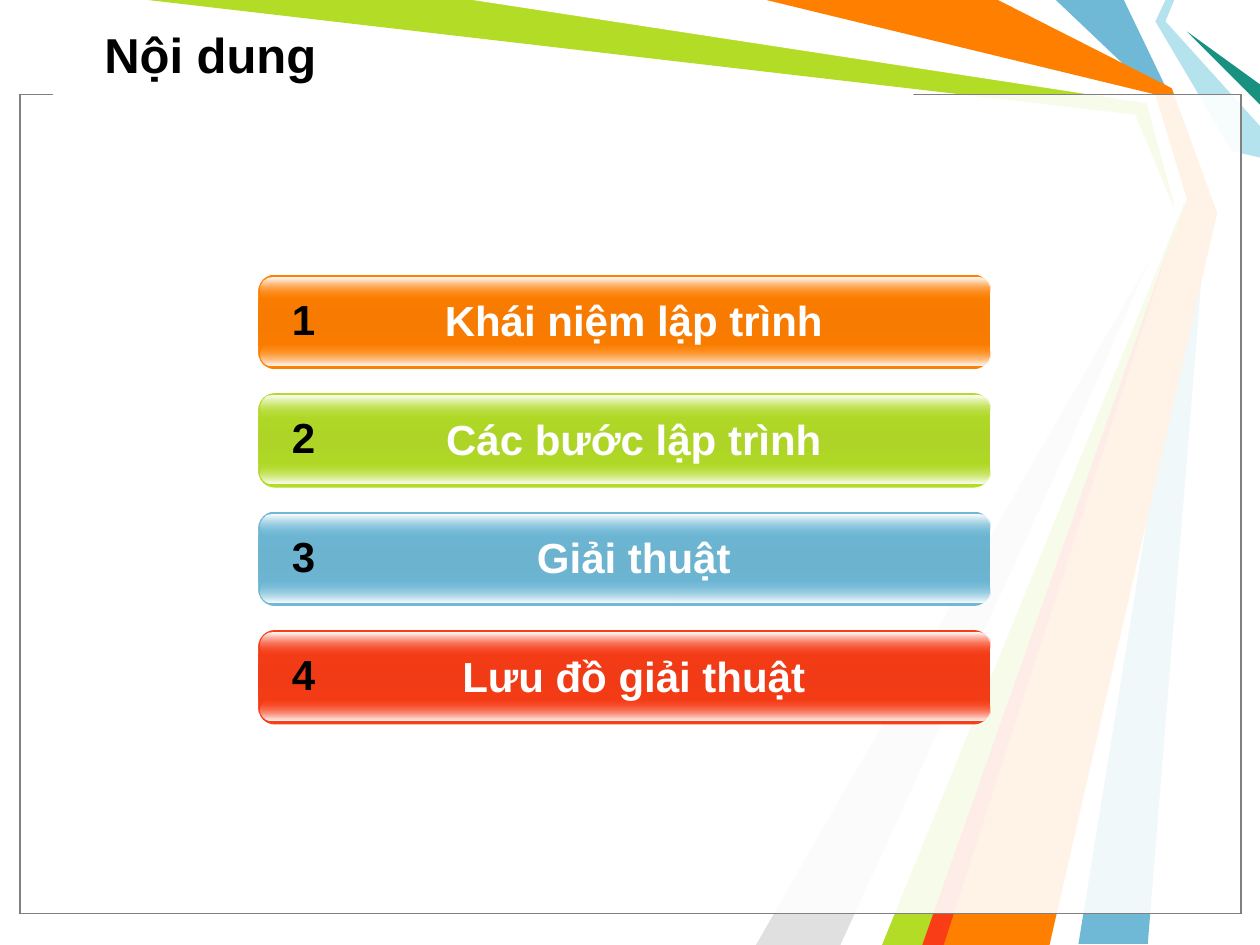
import pptx
import pptx.util
import pptx.dml.color
import pptx.enum.shapes
import pptx.enum.text
import pptx.oxml
import pptx.oxml.ns
from dataclasses import dataclass


@dataclass(frozen=True)
class Theme:
    font: str = "Arial"
    title_size: int = 28
    label_size: int = 24
    black: str = "000000"
    white: str = "FFFFFF"
    frame: str = "808080"
    orange: str = "FF7F00"
    green: str = "B3DC27"
    blue: str = "6FB9D7"
    red: str = "F93D17"
    grey: str = "E0E0E0"
    pale_blue: str = "B4E3EE"
    teal: str = "189180"


theme = Theme()
rgb = pptx.dml.color.RGBColor.from_string
shape_types = pptx.enum.shapes.MSO_SHAPE
alignments = pptx.enum.text.PP_ALIGN
anchors = pptx.enum.text.MSO_ANCHOR

presentation = pptx.Presentation()
presentation.slide_width = pptx.util.Inches(10)
presentation.slide_height = pptx.util.Inches(7.5)
slide = presentation.slides.add_slide(presentation.slide_layouts[6])

# Fine grid: 1000 columns by 750 rows
column = presentation.slide_width // 1000
row = presentation.slide_height // 750


def add_box(kind, left, top, width, height, stops, corner=None, line=None):
    """Add a shape; stops are (percent, colour, opacity), one stop is a solid fill."""
    shape = slide.shapes.add_shape(
        kind, left * column, top * row, width * column, height * row)
    shape.shadow.inherit = False
    if corner is not None:
        shape.adjustments[0] = corner
    if line:
        shape.line.color.rgb = rgb(line)
        shape.line.width = pptx.util.Pt(0.75)
    else:
        shape.line.fill.background()
    colours = [f'<a:srgbClr val="{colour}"><a:alpha val="{opacity * 1000}"/></a:srgbClr>'
               for _, colour, opacity in stops]
    namespace = pptx.oxml.ns.nsdecls("a")
    if len(stops) == 1:
        fill = f"<a:solidFill {namespace}>{colours[0]}</a:solidFill>"
    else:
        marks = "".join(f'<a:gs pos="{stop[0] * 1000}">{colour}</a:gs>'
                        for stop, colour in zip(stops, colours))
        fill = (f'<a:gradFill {namespace} rotWithShape="1"><a:gsLst>{marks}</a:gsLst>'
                '<a:lin ang="5400000" scaled="1"/></a:gradFill>')
    geometry = shape._element.spPr.find(pptx.oxml.ns.qn("a:prstGeom"))
    geometry.addnext(pptx.oxml.parse_xml(fill))


def add_text(text, left, top, width, height, size=theme.label_size,
             colour=theme.black, align=alignments.CENTER, anchor=anchors.TOP):
    box = slide.shapes.add_textbox(
        left * column, top * row, width * column, height * row)
    frame = box.text_frame
    frame.word_wrap = True
    frame.vertical_anchor = anchor
    paragraph = frame.paragraphs[0]
    paragraph.text = text
    paragraph.alignment = align
    font = paragraph.runs[0].font
    font.name = theme.font
    font.size = pptx.util.Pt(size)
    font.bold = True
    font.color.rgb = rgb(colour)


# Background ribbons, back to front
ribbons = [
    (theme.blue, [(892, 0), (929, 77), (958, 167), (911, 749), (856, 749),
                  (950, 167), (917, 75), (838, 0)]),
    (theme.green, [(117, 0), (383, 0), (914, 78), (942, 169), (742, 750),
                   (692, 750), (935, 173), (901, 91)]),
    (theme.grey, [(667, 750), (927, 181), (600, 750)]),
    (theme.white, [(375, 0), (910, 82), (932, 162), (675, 750), (700, 750),
                   (941, 158), (917, 75), (600, 0)]),
    (theme.pale_blue, [(925, 0), (917, 17), (978, 120), (1000, 125),
                       (1000, 100), (925, 17), (932, 0)]),
    (theme.teal, [(1000, 83), (942, 25), (1000, 67)]),
    (theme.orange, [(608, 0), (792, 0), (930, 70), (966, 169), (833, 750),
                    (733, 750), (942, 158), (917, 75)]),
    (theme.red, [(732, 750), (932, 183), (749, 750)]),
]
for colour, points in ribbons:
    builder = slide.shapes.build_freeform(*points[0], scale=(column, row))
    builder.add_line_segments(points[1:], close=True)
    ribbon = builder.convert_to_shape()
    ribbon.shadow.inherit = False
    ribbon.fill.solid()
    ribbon.fill.fore_color.rgb = rgb(colour)
    ribbon.line.fill.background()

# Two translucent content panels, and a gap in the frame below the title
for line in (theme.black, theme.frame):
    add_box(shape_types.RECTANGLE, 16, 75, 969, 650, [(0, theme.white, 69)], line=line)
add_box(shape_types.RECTANGLE, 42, 74, 683, 17, [(0, theme.white, 100)])

# Title
add_text("Nội dung", 73, 8, 911, 69, size=theme.title_size,
         align=alignments.LEFT, anchor=anchors.MIDDLE)

# Agenda bars: body, lower and upper gloss, label, number
agenda = [
    ("Khái niệm lập trình", theme.orange, "F67B00"),
    ("Các bước lập trình", theme.green, "ADD426"),
    ("Giải thuật", theme.blue, "6BB3CF"),
    ("Lưu đồ giải thuật", theme.red, "F03B16"),
]
first_top, pitch = 218, 94
rounded = shape_types.ROUNDED_RECTANGLE
for index, (label, colour, middle) in enumerate(agenda):
    top = first_top + index * pitch
    shine, clear = (theme.white, 100), (colour, 0)
    add_box(rounded, 205, top, 581, 75,
            [(0, colour, 100), (50, middle, 100), (100, colour, 100)], corner=0.175)
    add_box(rounded, 207, top + 54, 579, 18, [(0, *clear), (100, *shine)], corner=0.5)
    add_box(rounded, 207, top + 2, 579, 18, [(0, *shine), (100, *clear)], corner=0.5)
    add_text(label, 257, top + 11, 492, 50, colour=theme.white)
    add_text(str(index + 1), 220, top + 10, 42, 50)

presentation.save("out.pptx")
